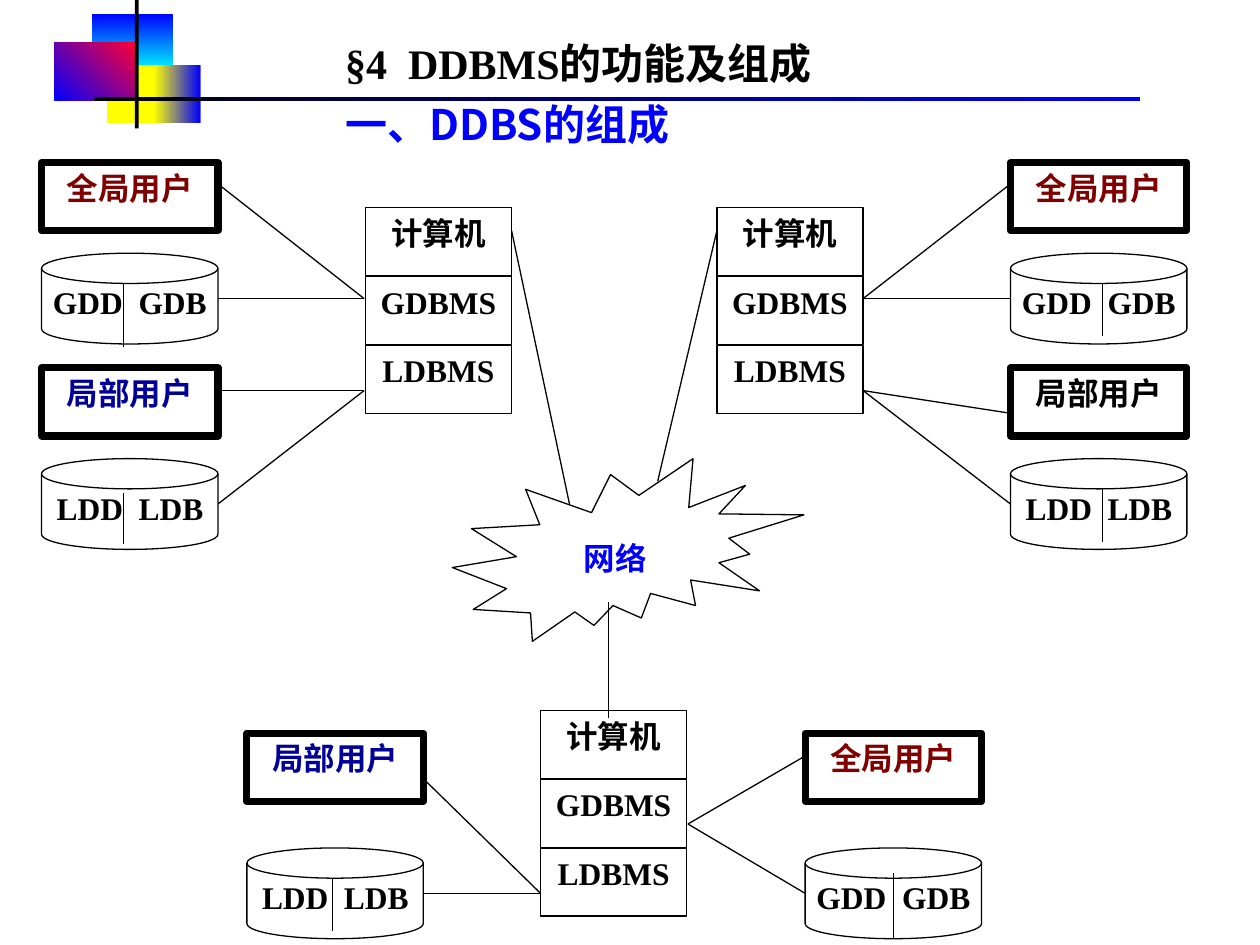
import pptx
import pptx.util
import pptx.dml.color
import pptx.enum.shapes
import pptx.enum.text
import pptx.oxml.ns
import lxml.etree

Inches = pptx.util.Inches
Pt = pptx.util.Pt
KIND = pptx.enum.shapes.MSO_SHAPE
ALIGN = pptx.enum.text.PP_ALIGN
LATIN = "Times New Roman"
HAN = "Noto Sans CJK SC"
BLACK, WHITE, BLUE = "000000", "FFFFFF", "0000FF"
RED, NAVY = "800000", "000099"
GLOBAL, LOCAL = "全局用户", "局部用户"


def hue(code):
    """Return the colour for a hex string."""
    return pptx.dml.color.RGBColor.from_string(code)


def set_font(font, size, color):
    """Set the size and colour of a bold font."""
    font.size = Pt(size)
    font.bold = True
    font.color.rgb = hue(color)


def add_tab(para, stop):
    """Give a paragraph one left tab stop."""
    name = pptx.oxml.ns.qn
    tabs = lxml.etree.SubElement(para._p.get_or_add_pPr(), name("a:tabLst"))
    lxml.etree.SubElement(tabs, name("a:tab"), pos=str(Inches(stop)), algn="l")


def set_pad(frame, left, top, right, low):
    """Set the insets of a top-anchored, wrapping text frame."""
    frame.word_wrap = True
    frame.vertical_anchor = pptx.enum.text.MSO_ANCHOR.TOP
    frame.margin_left, frame.margin_top = Inches(left), Inches(top)
    frame.margin_right, frame.margin_bottom = Inches(right), Inches(low)


def add_line(slide, x1, y1, x2, y2):
    """Draw a thin black line."""
    line = slide.shapes.add_connector(
        pptx.enum.shapes.MSO_CONNECTOR.STRAIGHT,
        Inches(x1), Inches(y1), Inches(x2), Inches(y2))
    line.line.color.rgb = hue(BLACK)
    line.line.width = Pt(0.75)
    lxml.etree.SubElement(line._element.spPr, pptx.oxml.ns.qn("a:effectLst"))


def add_form(slide, kind, x, y, wide, high):
    """Add a preset shape without a shadow."""
    form = slide.shapes.add_shape(
        kind, Inches(x), Inches(y), Inches(wide), Inches(high))
    form.shadow.inherit = False
    return form


def add_node(slide, kind, box, text, pad, color=BLACK, width=0.75, stop=None):
    """Add a white outlined shape with one line of text."""
    node = add_form(slide, kind, *box)
    node.fill.solid()
    node.fill.fore_color.rgb = hue(WHITE)
    node.line.color.rgb = hue(BLACK)
    node.line.width = Pt(width)
    set_pad(node.text_frame, *pad)
    para = node.text_frame.paragraphs[0]
    para.text = text
    para.alignment = ALIGN.LEFT if stop else ALIGN.CENTER
    if stop:
        add_tab(para, stop)
    set_font(para.font, 18, color)
    para.font.name = LATIN


def add_user(slide, x, y, text, color):
    """Add a thick-edged user box."""
    add_node(slide, KIND.FLOWCHART_PROCESS, (x, y, 1.4, 0.54), text,
             (0, 0.05, 0, 0.01), color, 4.11)


def add_disk(slide, x, y, mark):
    """Add a store split into a dictionary and a database."""
    left = 0.09 if mark == "G" else 0.12
    add_node(slide, KIND.FLOWCHART_MAGNETIC_DISK, (x, y, 1.4, 0.72),
             f"{mark}DD\t{mark}DB", (left, 0, 0, 0), stop=0.77 - left)


def add_host(slide, x, y):
    """Add a computer with its two layers of software."""
    for row, text in enumerate(("计算机", "GDBMS", "LDBMS")):
        side = 0 if row else 0.1
        add_node(slide, KIND.RECTANGLE, (x, y + row * 0.545, 1.16, 0.54),
                 text, (side, 0.05, side, 0.05))


def add_block(slide, box, first, last=None, angle=0):
    """Add an edgeless rectangle with a plain or graded fill."""
    block = add_form(slide, KIND.RECTANGLE, *box)
    block.line.fill.background()
    if last is None:
        block.fill.solid()
        block.fill.fore_color.rgb = hue(first)
        return
    block.fill.gradient()
    block.fill.gradient_angle = angle
    for stop, code in zip(block.fill.gradient_stops, (first, last)):
        stop.color.rgb = hue(code)


def add_title(slide):
    """Add the two heading lines."""
    box = slide.shapes.add_textbox(
        Inches(2.64), Inches(0.17), Inches(5.79), Inches(1.06))
    frame = box.text_frame
    set_pad(frame, 0.1, 0.05, 0.1, 0.05)
    heads = (
        (BLACK, (("§4\tDDBMS", LATIN), ("的功能及组成", HAN))),
        (BLUE, (("一、DDBS", HAN), ("的组成", LATIN))),
    )
    for row, (color, runs) in enumerate(heads):
        para = frame.add_paragraph() if row else frame.paragraphs[0]
        if not row:
            add_tab(para, 0.5)
        para.line_spacing = 1.2
        set_font(para.font, 24, color)
        for text, name in runs:
            run = para.add_run()
            run.text = text
            run.font.name = name


def add_links(slide):
    """Join users, stores, computers and network."""
    links = (
        (1.73, 1.46, 2.89, 2.37), (1.73, 2.37, 2.89, 2.37),
        (1.73, 3.1, 2.89, 3.1), (2.89, 3.1, 1.73, 4),
        (4.06, 1.83, 4.52, 4), (5.69, 1.83, 5.22, 3.82),
        (3.36, 6.18, 4.29, 7.09), (3.36, 7.09, 4.29, 7.09),
        (6.39, 6, 5.46, 6.54), (5.46, 6.54, 6.39, 7.09),
        (8.02, 1.46, 6.85, 2.37), (6.85, 2.37, 8.02, 2.37),
        (6.85, 3.1, 8.02, 3.28), (6.85, 3.1, 8.02, 4),
    )
    for link in links:
        add_line(slide, *link)


def add_sites(slide):
    """Add the three sites and the network between them."""
    for x, color in ((0.33, NAVY), (8.02, BLACK)):
        add_user(slide, x, 1.29, GLOBAL, RED)
        add_disk(slide, x, 2.01, "G")
        add_user(slide, x, 2.92, LOCAL, color)
        add_disk(slide, x, 3.64, "L")
    for x, text, color, mark in ((1.96, LOCAL, NAVY, "L"),
                                 (6.39, GLOBAL, RED, "G")):
        add_user(slide, x, 5.82, text, color)
        add_disk(slide, x, 6.73, mark)
    for x, y in ((2.9, 1.65), (5.69, 1.65), (4.29, 5.64)):
        add_host(slide, x, y)
    add_node(slide, KIND.EXPLOSION2, (3.59, 3.64, 2.79, 1.45), "网络",
             (0.1, 0.21, 0.1, 0.05), BLUE)
    for x, top, low in ((7.09, 6.93, 7.45), (4.83, 4.78, 5.7),
                        (0.98, 2.25, 2.75), (0.98, 3.91, 4.32),
                        (8.75, 2.25, 2.67), (8.75, 3.88, 4.3),
                        (2.64, 6.98, 7.39)):
        add_line(slide, x, top, x, low)


def add_decor(slide):
    """Add the coloured blocks and the two rules."""
    add_block(slide, (0.73, 0.11, 0.64, 0.46), BLUE, "00FFFF", 270)
    add_block(slide, (0.85, 0.52, 0.43, 0.46), "FFFF00")
    add_block(slide, (1.22, 0.52, 0.37, 0.46), "FFFF00", BLUE)
    add_block(slide, (0.43, 0.34, 0.65, 0.46), BLUE, "FF0033", 45)
    add_block(slide, (1.07, 0, 0.03, 1.02), BLACK)
    add_block(slide, (0.75, 0.77, 8.3, 0.03), BLACK, BLUE)


def main():
    """Build and save the slide."""
    deck = pptx.Presentation()
    deck.slide_width, deck.slide_height = Inches(10), Inches(7.5)
    slide = deck.slides.add_slide(deck.slide_layouts[6])
    add_title(slide)
    add_links(slide)
    add_sites(slide)
    add_decor(slide)
    deck.save("out.pptx")


if __name__ == "__main__":
    main()
